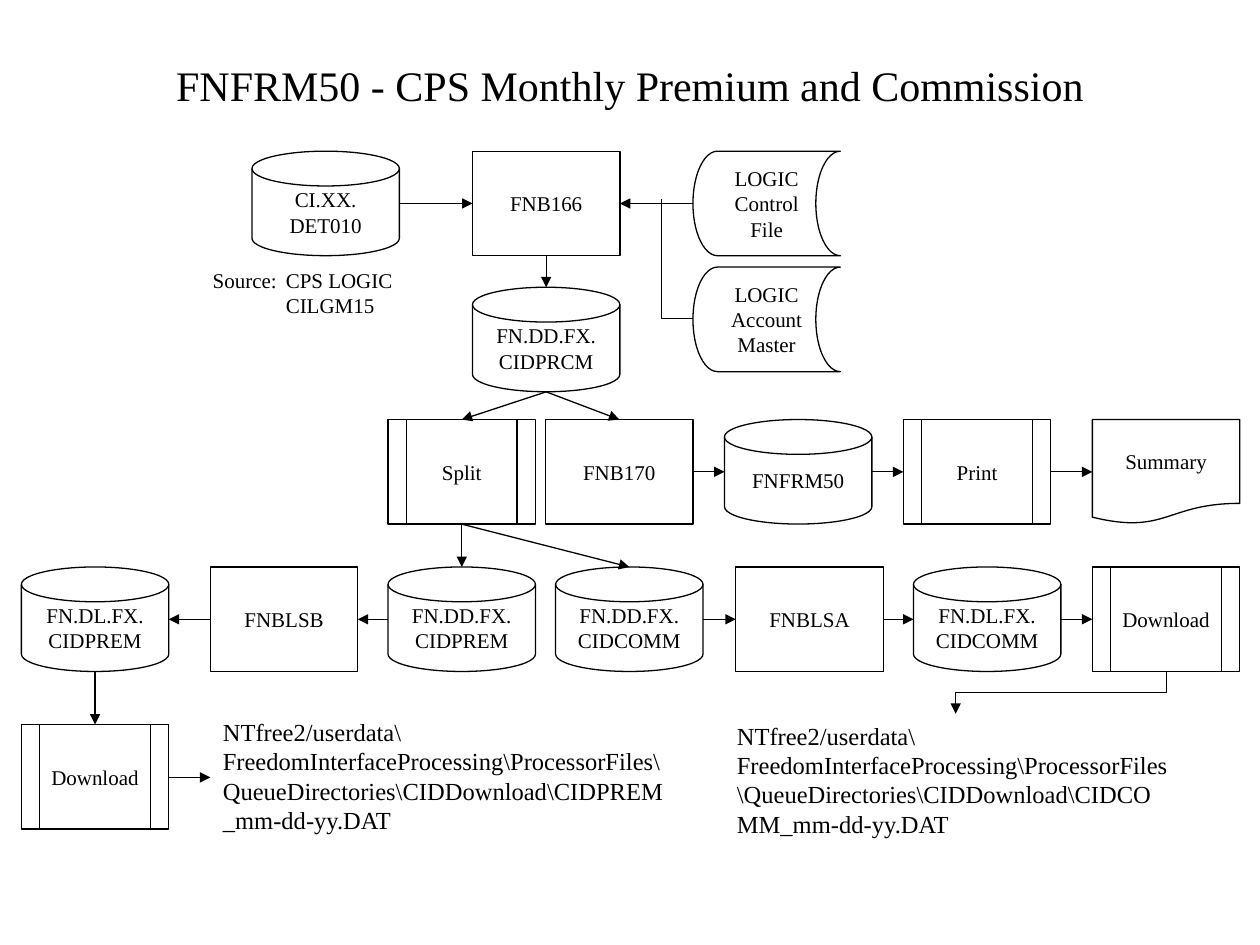
from lxml.etree import SubElement
from pptx import Presentation
from pptx.dml.color import RGBColor
from pptx.enum.shapes import MSO_CONNECTOR, MSO_SHAPE
from pptx.enum.text import MSO_ANCHOR, MSO_AUTO_SIZE, PP_ALIGN
from pptx.oxml.ns import qn
from pptx.util import Inches, Pt

FONT = "Times New Roman"
INK, PAPER = "000000", "FFFFFF"
WIDE, HIGH = 1.17, 0.83
STEP = MSO_SHAPE.FLOWCHART_PROCESS
DISK = MSO_SHAPE.FLOWCHART_MAGNETIC_DISK
JOB = MSO_SHAPE.FLOWCHART_PREDEFINED_PROCESS
PAGE = MSO_SHAPE.FLOWCHART_DOCUMENT
STORE = MSO_SHAPE.FLOWCHART_STORED_DATA

NODES = {
    "premium": (STEP, 3.75, 1.2, "FNB166"),
    "monthly": (DISK, 3.75, 2.28, "FN.DD.FX.\nCIDPRCM"),
    "detail": (DISK, 2, 1.2, "CI.XX.\nDET010"),
    "control": (STORE, 5.5, 1.2, "LOGIC\nControl\nFile"),
    "account": (STORE, 5.5, 2.12, "LOGIC\nAccount\nMaster"),
    "split": (JOB, 3.08, 3.33, "Split"),
    "report": (STEP, 4.33, 3.33, "FNB170"),
    "form": (DISK, 5.75, 3.33, "FNFRM50"),
    "print": (JOB, 7.17, 3.33, "Print"),
    "summary": (PAGE, 8.67, 3.33, "Summary"),
    "prem_out": (DISK, 0.17, 4.5, "FN.DL.FX.\nCIDPREM"),
    "prem_step": (STEP, 1.67, 4.5, "FNBLSB"),
    "prem_in": (DISK, 3.08, 4.5, "FN.DD.FX.\nCIDPREM"),
    "comm_in": (DISK, 4.41, 4.5, "FN.DD.FX.\nCIDCOMM"),
    "comm_step": (STEP, 5.84, 4.5, "FNBLSA"),
    "comm_out": (DISK, 7.25, 4.5, "FN.DL.FX.\nCIDCOMM"),
    "comm_load": (JOB, 8.67, 4.5, "Download"),
    "prem_load": (JOB, 0.17, 5.75, "Download"),
}
ACROSS = [
    ("detail", "premium"), ("control", "premium"), ("report", "form"),
    ("form", "print"), ("print", "summary"), ("prem_in", "prem_step"),
    ("prem_step", "prem_out"), ("comm_in", "comm_step"),
    ("comm_step", "comm_out"), ("comm_out", "comm_load"),
]
DOWN = [
    ("premium", "monthly"), ("monthly", "split"), ("monthly", "report"),
    ("split", "prem_in"), ("split", "comm_in"), ("prem_out", "prem_load"),
]
TARGET = ("NTfree2/userdata\\ FreedomInterfaceProcessing\\ProcessorFiles"
          "\\QueueDirectories\\CIDDownload\\{}_mm-dd-yy.DAT")


def color(code):
    """Turn a hex string into a colour."""
    return RGBColor.from_string(code)


def write(frame, text, size=12, align=PP_ALIGN.LEFT, anchor=MSO_ANCHOR.TOP,
          wrap=True, before=0, hang=0):
    """Put formatted text into a frame."""
    frame.text = text
    frame.auto_size = MSO_AUTO_SIZE.NONE
    frame.word_wrap = wrap
    frame.vertical_anchor = anchor
    for para in frame.paragraphs:
        para.alignment = align
        para.space_before = Pt(before)
        para.font.size = Pt(size)
        para.font.name = FONT
        para.font.color.rgb = color(INK)
        if hang:
            props = para._p.get_or_add_pPr()
            props.set("marL", str(Inches(hang)))
            props.set("indent", str(-Inches(hang)))


def title(slide, text):
    """Place and fill the title."""
    head = slide.shapes.title
    head.left, head.top = Inches(0.75), Inches(0.42)
    head.width, head.height = Inches(8.5), Inches(0.5)
    write(head.text_frame, text, size=24, align=PP_ALIGN.CENTER,
          anchor=MSO_ANCHOR.MIDDLE)


def label(slide, text, left, top, width, height, **form):
    """Add a free text box."""
    box = slide.shapes.add_textbox(Inches(left), Inches(top),
                                   Inches(width), Inches(height))
    write(box.text_frame, text, **form)


def node(slide, kind, left, top, text):
    """Add one flowchart symbol."""
    shape = slide.shapes.add_shape(kind, Inches(left), Inches(top),
                                   Inches(WIDE), Inches(HIGH))
    shape.shadow.inherit = False
    if kind in (PAGE, STORE):
        shape.fill.background()
    else:
        shape.fill.solid()
        shape.fill.fore_color.rgb = color(PAPER)
    shape.line.color.rgb = color(INK)
    shape.line.width = Pt(0.75)
    write(shape.text_frame, text, align=PP_ALIGN.CENTER,
          anchor=MSO_ANCHOR.MIDDLE, wrap=False)


def link(slide, start, end, kind=MSO_CONNECTOR.STRAIGHT, arrow=True):
    """Join two points with a thin line."""
    line = slide.shapes.add_connector(kind, *map(Inches, start + end))
    line.line.color.rgb = color(INK)
    line.line.width = Pt(0.75)
    if arrow:
        SubElement(line.get_or_add_ln(), qn("a:tailEnd"), type="triangle")
    SubElement(line.element.spPr, qn("a:effectLst"))
    return line


def elbow(slide, start, end, turn, preset="bentConnector3", arrow=True):
    """Join two box corners with a bent line turned by some degrees."""
    line = link(slide, start, end, MSO_CONNECTOR.ELBOW, arrow)
    props = line.element.spPr
    props.find(qn("a:xfrm")).set("rot", str(turn * 60000))
    props.find(qn("a:prstGeom")).set("prst", preset)


def across(slide, first, last):
    """Link two symbols side by side."""
    (_, x, y, _), (_, left, top, _) = NODES[first], NODES[last]
    if x < left:
        x += WIDE
    else:
        left += WIDE
    link(slide, (x, y + HIGH / 2), (left, top + HIGH / 2))


def down(slide, first, last):
    """Link a symbol to one below it."""
    (_, x, y, _), (_, left, top, _) = NODES[first], NODES[last]
    link(slide, (x + WIDE / 2, y + HIGH), (left + WIDE / 2, top))


def main():
    """Build the slide and save it."""
    deck = Presentation()
    deck.slide_width, deck.slide_height = Inches(10), Inches(7.5)
    slide = deck.slides.add_slide(deck.slide_layouts[5])
    title(slide, "FNFRM50 - CPS Monthly Premium and Commission")
    for item in NODES.values():
        node(slide, *item)
    for pair in ACROSS:
        across(slide, *pair)
    for pair in DOWN:
        down(slide, *pair)
    link(slide, (1.33, 6.17), (1.67, 6.17))
    elbow(slide, (5.25, 1.58), (5.5, 2.53), 180, "bentConnector2", False)
    elbow(slide, (8.25, 4.66), (8.59, 6.33), 90)
    label(slide, "Source:\tCPS LOGIC\vCILGM15", 1.59, 2.07, 2.17, 0.38,
          hang=0.58)
    label(slide, TARGET.format("CIDPREM"), 1.67, 5.64, 3.75, 1.04,
          size=14, before=8.8)
    label(slide, TARGET.format("CIDCOMM"), 5.75, 5.67, 3.66, 1.04,
          size=14, before=8.8)
    deck.save("out.pptx")


if __name__ == "__main__":
    main()
